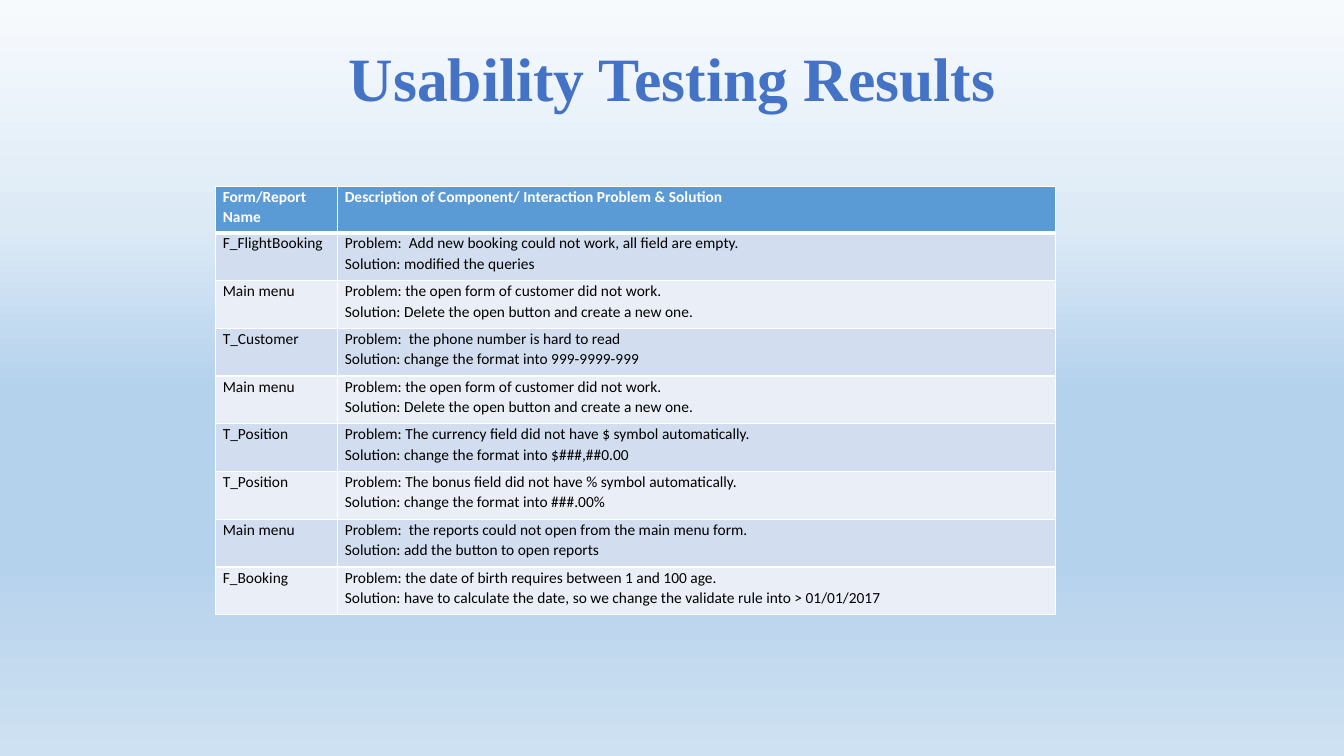
"""Build the usability testing results slide: a title and a table of problems and solutions."""
import copy

import lxml.etree
import pptx
import pptx.dml.color
import pptx.enum.text
import pptx.oxml.ns
import pptx.util

Inches = pptx.util.Inches
Pt = pptx.util.Pt
qn = pptx.oxml.ns.qn


def color(hex_value):
    return pptx.dml.color.RGBColor.from_string(hex_value)


def add_border(cell, index, side, width):
    tc_pr = cell._tc.get_or_add_tcPr()
    line = lxml.etree.Element(qn("a:ln" + side), w=str(Pt(width)))
    solid = lxml.etree.SubElement(line, qn("a:solidFill"))
    lxml.etree.SubElement(solid, qn("a:srgbClr"), val="FFFFFF")
    tc_pr.insert(index, line)


prs = pptx.Presentation()
prs.slide_width = Inches(13.33)
prs.slide_height = Inches(7.5)
s = prs.slides.add_slide(prs.slide_layouts[5])

sky_stops = [(0, "F7FAFD"), (0.3, "DCEAF6"), (0.51, "B5D2EC"), (0.74, "B5D2EC"), (1, "CEE1F2")]
sky = s.background.fill
sky.gradient()
sky.gradient_angle = 270
stop_list = s._element.find(".//" + qn("a:gsLst"))
while len(stop_list) < len(sky_stops):
    stop_list.append(copy.deepcopy(stop_list[0]))
for stop, (position, shade) in zip(sky.gradient_stops, sky_stops):
    stop.position = position
    stop.color.rgb = color(shade)

title = s.shapes.title
title_box = {"left": 0.92, "top": 0.4, "width": 11.5, "height": 1.45}
for name, value in title_box.items():
    setattr(title, name, Inches(value))
tf = title.text_frame
tf.text = "Usability Testing Results"
title_frame = {
    "word_wrap": True,
    "auto_size": pptx.enum.text.MSO_AUTO_SIZE.NONE,
    "vertical_anchor": pptx.enum.text.MSO_ANCHOR.MIDDLE,
    "margin_bottom": Inches(0.68),
}
for name, value in title_frame.items():
    setattr(tf, name, value)
p = tf.paragraphs[0]
p.alignment = pptx.enum.text.PP_ALIGN.CENTER
p.line_spacing = 0.9
r = p.runs[0]
for name, value in {"name": "Times New Roman", "size": Pt(44), "bold": True}.items():
    setattr(r.font, name, value)
r.font.color.rgb = color("4472C4")

rows = [
    ("Form/Report\nName", "Description of Component/ Interaction Problem & Solution"),
    ("F_FlightBooking", "Problem:  Add new booking could not work, all field are empty.\n"
                        "Solution: modified the queries"),
    ("Main menu", "Problem: the open form of customer did not work.\n"
                  "Solution: Delete the open button and create a new one."),
    ("T_Customer", "Problem:  the phone number is hard to read\n"
                   "Solution: change the format into 999-9999-999"),
    ("Main menu", "Problem: the open form of customer did not work.\n"
                  "Solution: Delete the open button and create a new one."),
    ("T_Position", "Problem: The currency field did not have $ symbol automatically.\n"
                   "Solution: change the format into $###,##0.00"),
    ("T_Position", "Problem: The bonus field did not have % symbol automatically.\n"
                   "Solution: change the format into ###.00%"),
    ("Main menu", "Problem:  the reports could not open from the main menu form.\n"
                  "Solution: add the button to open reports"),
    ("F_Booking", "Problem: the date of birth requires between 1 and 100 age.\n"
                  "Solution: have to calculate the date, so we change the validate rule into > 01/01/2017"),
]
table_height, header_height = 4.25, 0.46
body_height = (table_height - header_height) / (len(rows) - 1)
table = s.shapes.add_table(
    len(rows), 2, Inches(2.14), Inches(1.85), Inches(8.33), Inches(table_height)
).table
for column, width in zip(table.columns, (1.21, 7.12)):
    column.width = Inches(width)

cell_margins = {"margin_left": 0.07, "margin_top": 0, "margin_right": 0.07, "margin_bottom": 0}
for i, texts in enumerate(rows):
    header = i == 0
    table.rows[i].height = Inches(header_height if header else body_height)
    fill = "5B9BD5" if header else ("EAEFF7", "D2DEEF")[i % 2]
    font = {"name": "Calibri", "size": Pt(11), "bold": header}
    borders = {"L": 1, "R": 1, "T": 3 if i == 1 else 1, "B": 3 if header else 1}
    for cell, text in zip(table.rows[i].cells, texts):
        cell.text = text
        for name, value in cell_margins.items():
            setattr(cell, name, Inches(value))
        cell.fill.solid()
        cell.fill.fore_color.rgb = color(fill)
        for index, (side, width) in enumerate(borders.items()):
            add_border(cell, index, side, width)
        for p in cell.text_frame.paragraphs:
            p.line_spacing = 1.07
            r = p.runs[0]
            for name, value in font.items():
                setattr(r.font, name, value)
            r.font.color.rgb = color("FFFFFF" if header else "000000")

prs.save("out.pptx")
